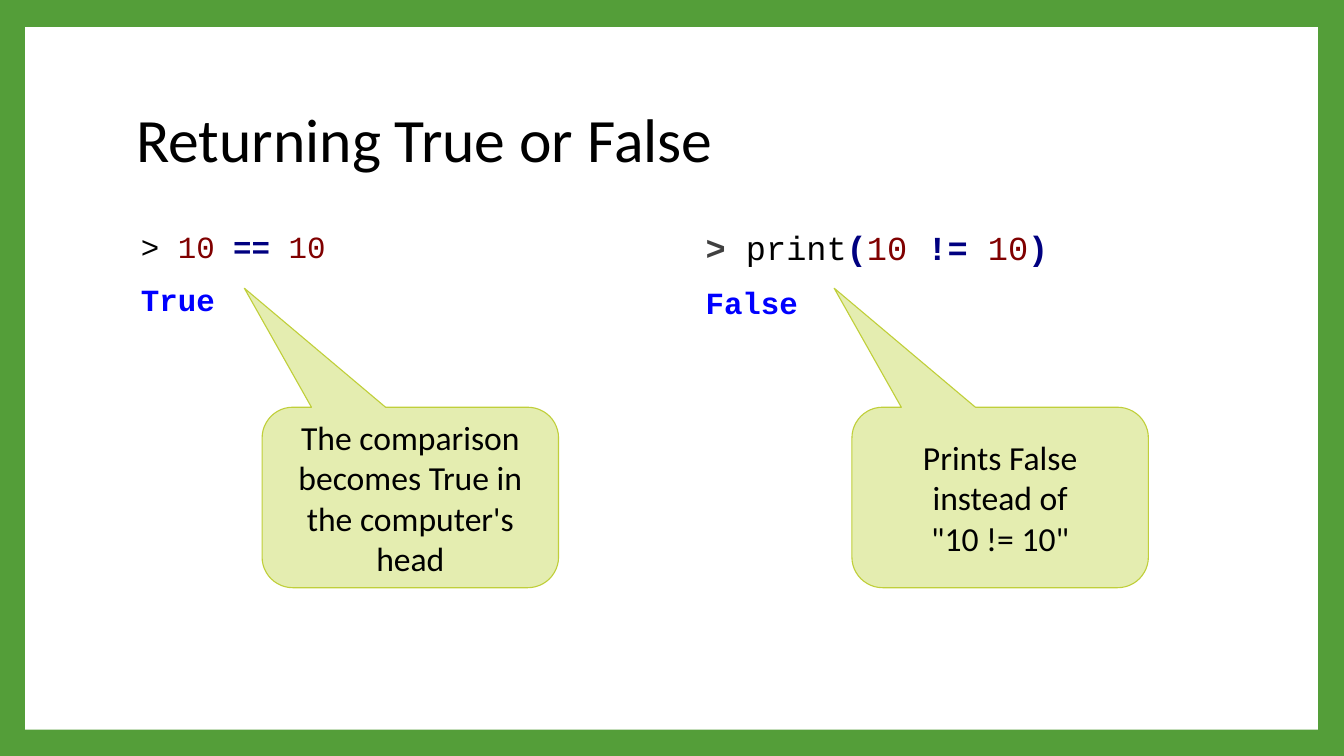
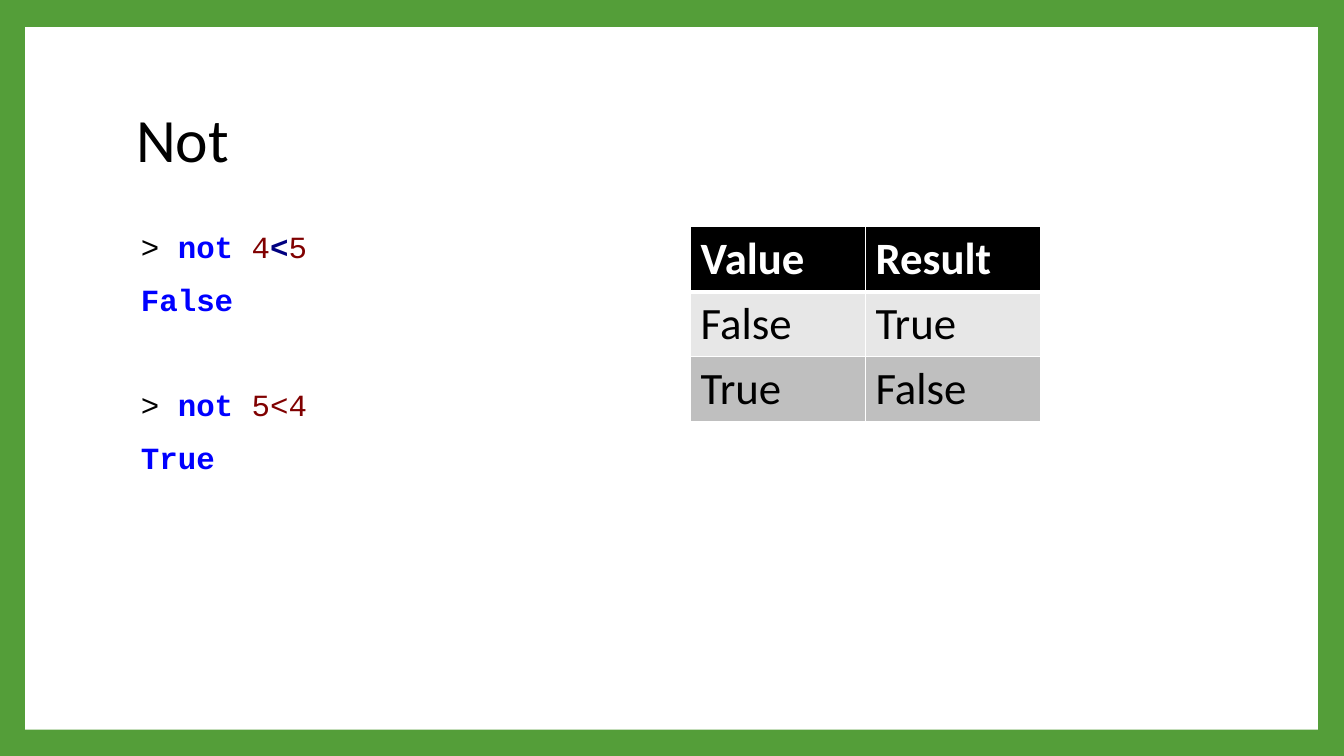
"""Build two slides on True, False and not."""
import pptx
import pptx.util
import pptx.dml.color
import pptx.enum.shapes
import pptx.enum.text
import pptx.oxml
import pptx.oxml.ns

Inches = pptx.util.Inches
Pt = pptx.util.Pt
ALIGN = pptx.enum.text.PP_ALIGN
ANCHOR = pptx.enum.text.MSO_ANCHOR
SHAPE = pptx.enum.shapes.MSO_SHAPE

HEX = {
    "frame": "549E39", "white": "FFFFFF", "black": "000000",
    "grey": "404040", "num": "800000", "op": "000080", "key": "0000FF",
    "note": "E4EDB0", "edge": "C0CF3A", "light": "E7E7E7", "dark": "BFBFBF",
}
BOLD = {"grey", "op", "key"}
LEFT, RIGHT, TOP = 1.25, 6.85, 2.25
WIDE, HIGH = 5.2, 4.4


def rgb(name):
    """Return the named colour."""
    return pptx.dml.color.RGBColor.from_string(HEX[name])


def paint(fill, name):
    """Fill with one named colour."""
    fill.solid()
    fill.fore_color.rgb = rgb(name)


def write(para, text, size, tint="black", bold=False, face="Calibri"):
    """Add one styled run."""
    run = para.add_run()
    run.text = text
    run.font.name = face
    run.font.size = Pt(size)
    run.font.bold = bold
    run.font.color.rgb = rgb(tint)


def add_form(slide, kind, box, fill):
    """Add a filled shape without line or shadow."""
    form = slide.shapes.add_shape(kind, *map(Inches, box))
    form.shadow.inherit = False
    paint(form.fill, fill)
    form.line.fill.background()
    return form


def set_master(deck, slide):
    """Put the green frame and white panel on the master."""
    master = deck.slide_master
    paint(master.background.fill, "frame")
    panel = add_form(slide, SHAPE.RECTANGLE, (0.25, 0.27, 12.82, 6.97), "white")
    node = panel._element
    node.nvSpPr.cNvPr.set("id", "20")
    master.shapes._spTree.insert(2, node)


def add_slide(deck, text):
    """Add a slide with its title."""
    slide = deck.slides.add_slide(deck.slide_layouts[5])
    title = slide.shapes.title
    title.left, title.top = Inches(LEFT), Inches(0.67)
    title.width, title.height = Inches(10.8), Inches(1.48)
    title.text_frame.vertical_anchor = ANCHOR.MIDDLE
    para = title.text_frame.paragraphs[0]
    para.alignment = ALIGN.LEFT
    para.line_spacing = 0.9
    write(para, text, 44)
    return slide


def add_code(slide, box, lines):
    """Add code lines, each a gap, a size and its runs."""
    frame = slide.shapes.add_textbox(*map(Inches, box)).text_frame
    frame.word_wrap = True
    for i, (gap, size, runs) in enumerate(lines):
        para = frame.paragraphs[0] if i == 0 else frame.add_paragraph()
        para._p.get_or_add_pPr().set("marL", str(Inches(0.05)))
        para.line_spacing = 0.9
        para.space_before = Pt(gap)
        for text, tint in runs:
            write(para, text, size, tint, tint in BOLD, "Courier New")


def add_note(slide, box, lines):
    """Add a callout that points up and to the left."""
    note = add_form(slide, SHAPE.ROUNDED_RECTANGULAR_CALLOUT, box, "note")
    for i, value in enumerate((-0.56, -1.16, 0.17)):
        note.adjustments[i] = value
    paint(note.line.fill, "edge")
    note.line.width = Pt(0.79)
    frame = note.text_frame
    frame.word_wrap = True
    frame.vertical_anchor = ANCHOR.MIDDLE
    para = frame.paragraphs[0]
    para.alignment = ALIGN.CENTER
    for i, text in enumerate(lines):
        if i:
            para.add_line_break()
        write(para, text, 24)


def add_edge(cell, side, width):
    """Draw one white border of a cell."""
    line = pptx.oxml.parse_xml(
        f'<a:ln{side} {pptx.oxml.ns.nsdecls("a")} w="{Pt(width)}"><a:solidFill>'
        f'<a:srgbClr val="{HEX["white"]}"/></a:solidFill></a:ln{side}>')
    cell._tc.get_or_add_tcPr().append(line)


def add_grid(slide, box, rows):
    """Add a table with a black head row."""
    fills = ("black", "light", "dark")
    grid = slide.shapes.add_table(
        len(rows), len(rows[0]), *map(Inches, box)).table
    for r, row in enumerate(rows):
        head = r == 0
        for c, text in enumerate(row):
            cell = grid.cell(r, c)
            for side in "LRTB":
                thick = (head and side == "B") or (r == 1 and side == "T")
                add_edge(cell, side, 3 if thick else 1)
            paint(cell.fill, fills[r])
            write(cell.text_frame.paragraphs[0], text, 32,
                  "white" if head else "black", head)


def build_returns(deck):
    """Build the slide on what a test returns."""
    slide = add_slide(deck, "Returning True or False")
    set_master(deck, slide)
    parts = (
        (LEFT, 2.6,
         [(0, 22, [("> ", "black"), ("10 ", "num"), ("==", "op"),
                   (" 10", "num")]),
          (14, 22, [("True", "key")])],
         ["The comparison becomes True in the computer's head"]),
        (RIGHT, 8.45,
         [(0, 24, [(">", "grey"), (" ", "key"), ("print", "black"),
                   ("(", "op"), ("10", "num"), (" ", "black"), ("!=", "op"),
                   (" ", "black"), ("10", "num"), (")", "op")]),
          (14, 22, [("False", "key")])],
         ["Prints False instead of", '"10 != 10"']),
    )
    for x, note, code, text in parts:
        add_code(slide, (x, TOP, WIDE, HIGH), code)
        add_note(slide, (note, 4.04, 2.94, 1.79), text)


def build_not(deck):
    """Build the slide on the word not."""
    slide = add_slide(deck, "Not")
    add_grid(slide, (RIGHT, TOP, 3.47, 1.92),
             [("Value", "Result"), ("False", "True"), ("True", "False")])
    add_code(slide, (LEFT, TOP, WIDE, HIGH), [
        (0, 22, [(">", "black"), (" ", "num"), ("not", "key"), (" 4", "num"),
                 ("<", "op"), ("5", "num")]),
        (14, 22, [("False", "key")]),
        (51.5, 22, [("> ", "black"), ("not", "key"), (" 5<4", "num")]),
        (14, 22, [("True", "key")]),
    ])


def main():
    """Build and save the deck."""
    deck = pptx.Presentation()
    deck.slide_width, deck.slide_height = Inches(13.33), Inches(7.5)
    build_returns(deck)
    build_not(deck)
    deck.save("out.pptx")


if __name__ == "__main__":
    main()
